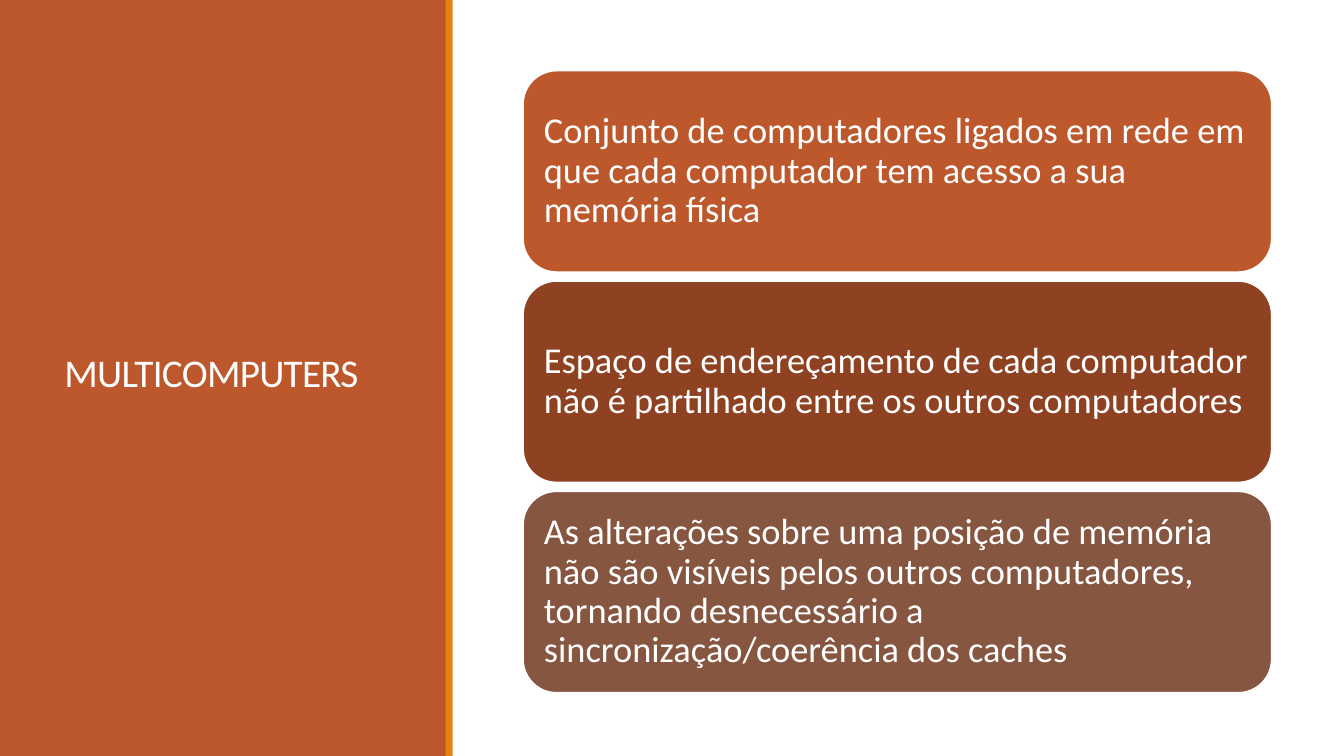
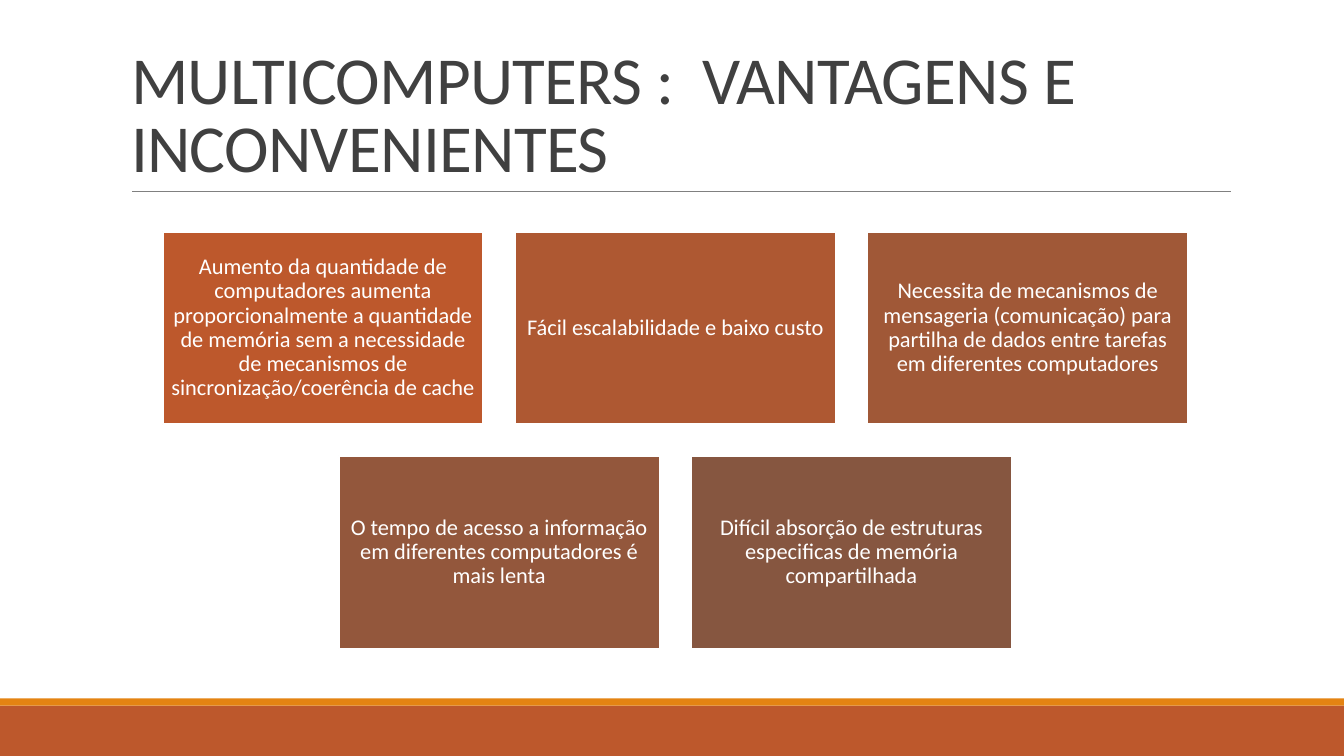
from dataclasses import dataclass

from lxml.etree import SubElement
from pptx import Presentation
from pptx.dml.color import RGBColor
from pptx.enum.shapes import MSO_CONNECTOR, MSO_SHAPE
from pptx.enum.text import MSO_ANCHOR, MSO_AUTO_SIZE, PP_ALIGN
from pptx.oxml.ns import qn
from pptx.util import Cm, Pt


@dataclass(frozen=True)
class Theme:
    font: str = "Calibri"
    white: str = "FFFFFF"
    rust: str = "BD582C"
    amber: str = "E48312"
    dark: str = "404040"
    rule: str = "808080"
    side_title_size: int = 28
    title_size: int = 48
    card_size: int = 26
    tile_size: int = 16
    outline: float = 1.25


THEME = Theme()
SLIDE_WIDTH, SLIDE_HEIGHT = 33.87, 19.05
STRIPE = 0.18

DEFINITION_TITLE = "MULTICOMPUTERS"
CARDS = [
    ("Conjunto de computadores ligados em rede em que cada computador tem "
     "acesso a sua memória física", "BD582C"),
    ("Espaço de endereçamento de cada computador não é partilhado entre os "
     "outros computadores", "8E4221"),
    ("As alterações sobre uma posição de memória não são visíveis pelos outros "
     "computadores, tornando desnecessário a sincronização/coerência dos caches",
     "865640"),
]

COMPARISON_TITLE = "MULTICOMPUTERS :  VANTAGENS E INCONVENIENTES"
TILE_ROWS = [
    [
        ("Aumento da quantidade de computadores aumenta proporcionalmente a "
         "quantidade de memória sem a necessidade de mecanismos de "
         "sincronização/coerência de cache", "BD582C"),
        ("Fácil escalabilidade e baixo custo", "AE5832"),
        ("Necessita de mecanismos de mensageria (comunicação) para partilha de "
         "dados entre tarefas em diferentes computadores", "A05837"),
    ],
    [
        ("O tempo de acesso a informação em diferentes computadores é mais lenta",
         "93573C"),
        ("Difícil absorção de estruturas especificas de memória compartilhada",
         "865640"),
    ],
]


def color(code):
    return RGBColor.from_string(code)


def write_text(shape, text, *, size, fill=THEME.white, align=PP_ALIGN.LEFT,
               anchor=MSO_ANCHOR.MIDDLE, line_spacing=0.9, inset=None, tracking=None):
    """Fill a shape with one paragraph; inset is in cm, tracking in points."""
    frame = shape.text_frame
    frame.word_wrap = True
    frame.auto_size = MSO_AUTO_SIZE.NONE
    frame.vertical_anchor = anchor
    if inset is not None:
        frame.margin_left = frame.margin_right = Cm(inset)
        frame.margin_top = frame.margin_bottom = Cm(inset)
    paragraph = frame.paragraphs[0]
    paragraph.alignment = align
    paragraph.line_spacing = line_spacing
    run = paragraph.add_run()
    run.text = text
    run.font.name = THEME.font
    run.font.size = Pt(size)
    run.font.color.rgb = color(fill)
    if tracking is not None:
        run.font._element.set("spc", str(round(tracking * 100)))


def add_block(slide, box, fill, *, kind=MSO_SHAPE.RECTANGLE, outline=None):
    shape = slide.shapes.add_shape(kind, *map(Cm, box))
    shape.shadow.inherit = False
    shape.fill.solid()
    shape.fill.fore_color.rgb = color(fill)
    if outline:
        shape.line.color.rgb = color(outline)
        shape.line.width = Pt(THEME.outline)
    else:
        shape.line.fill.background()
    return shape


def set_title(slide, text, box, **text_format):
    title = slide.shapes.title
    title.left, title.top, title.width, title.height = map(Cm, box)
    write_text(title, text, line_spacing=0.85, tracking=-0.5, **text_format)


def add_band(slide, band_box, stripe_box):
    add_block(slide, band_box, THEME.rust)
    add_block(slide, stripe_box, THEME.amber)


def add_rule(slide, left, right, top):
    rule = slide.shapes.add_connector(
        MSO_CONNECTOR.STRAIGHT, Cm(left), Cm(top), Cm(right), Cm(top))
    rule.line.color.rgb = color(THEME.rule)
    rule.line.width = Pt(0.5)
    SubElement(rule._element.spPr, qn("a:effectLst"))


def build_definition(slide):
    panel_width = 11.25
    add_band(slide, (0, 0, panel_width, SLIDE_HEIGHT),
             (panel_width - 0.02, 0, STRIPE, SLIDE_HEIGHT))
    set_title(slide, DEFINITION_TITLE, (1.37, 1.45, 8.56, 16.03),
              size=THEME.side_title_size)

    left, top, width, height, gap = 13.18, 1.78, 18.87, 5.08, 0.22
    for index, (text, fill) in enumerate(CARDS):
        box = (left, top + index * (height + gap), width, height)
        card = add_block(slide, box, fill, kind=MSO_SHAPE.ROUNDED_RECTANGLE,
                         outline=THEME.white)
        write_text(card, text, size=THEME.card_size, inset=0.28)


def build_comparison(slide):
    band_top = 17.78
    add_band(slide, (0, band_top, SLIDE_WIDTH, SLIDE_HEIGHT - band_top),
             (0, band_top - STRIPE, SLIDE_WIDTH, STRIPE))
    add_rule(slide, 3.33, 31.01, 4.83)
    set_title(slide, COMPARISON_TITLE, (3.05, 0.79, 27.94, 4.04),
              size=THEME.title_size, fill=THEME.dark, anchor=MSO_ANCHOR.BOTTOM)

    center, top, width, height, gap = 17.02, 5.84, 8.08, 4.85, 0.8
    for row_index, row in enumerate(TILE_ROWS):
        row_width = len(row) * (width + gap) - gap
        for column, (text, fill) in enumerate(row):
            box = (center - row_width / 2 + column * (width + gap),
                   top + row_index * (height + gap), width, height)
            tile = add_block(slide, box, fill, outline=THEME.white)
            write_text(tile, text, size=THEME.tile_size, align=PP_ALIGN.CENTER,
                       inset=0.18)


def main():
    presentation = Presentation()
    presentation.slide_width = Cm(SLIDE_WIDTH)
    presentation.slide_height = Cm(SLIDE_HEIGHT)
    title_only = presentation.slide_layouts.get_by_name("Title Only")
    for build in (build_definition, build_comparison):
        slide = presentation.slides.add_slide(title_only)
        build(slide)
        # Keep the title in front of the bands.
        slide.shapes._spTree.append(slide.shapes.title._element)
    presentation.save("out.pptx")


if __name__ == "__main__":
    main()
